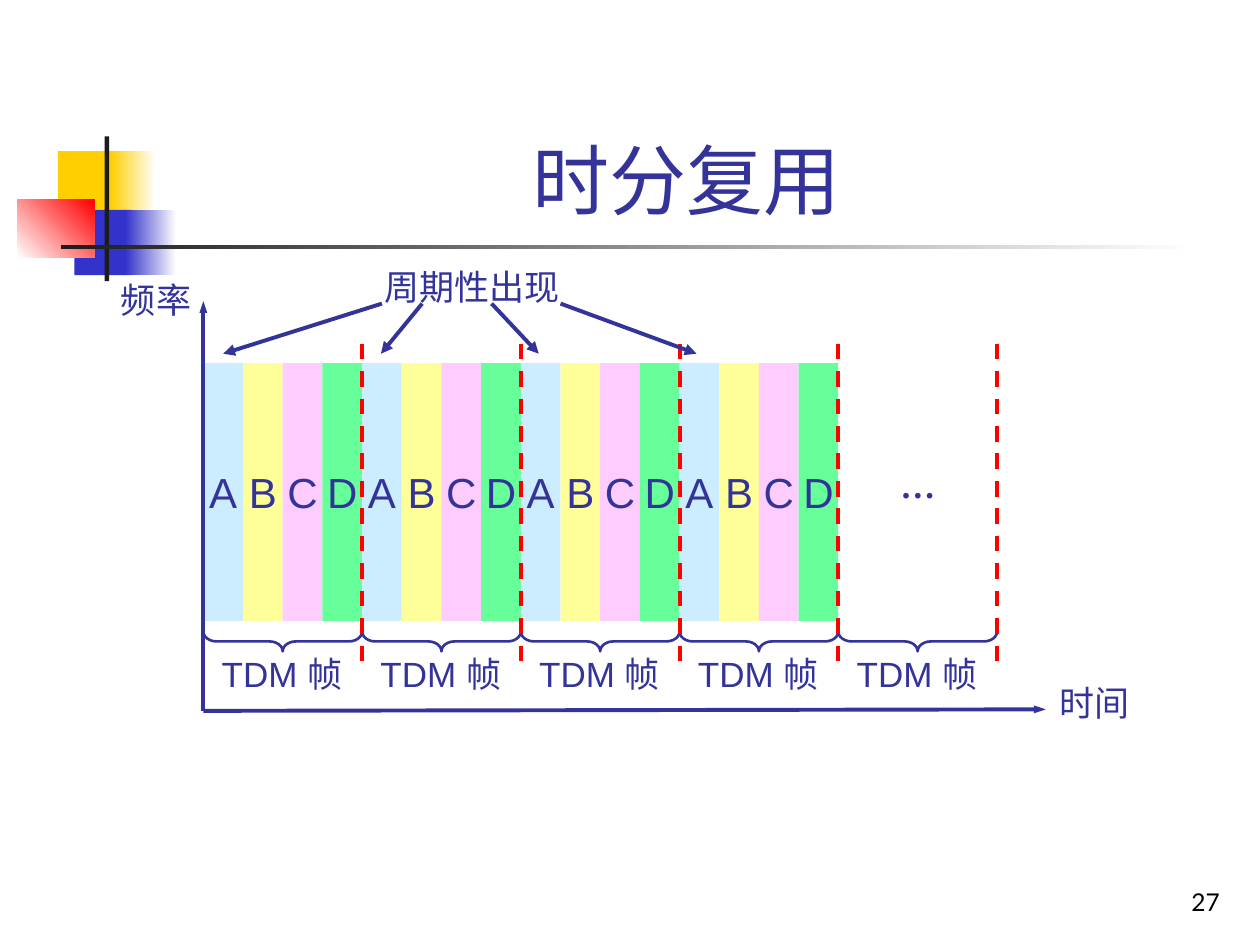
import pptx
import pptx.util
import pptx.dml.color
import pptx.enum.dml
import pptx.enum.shapes
import pptx.enum.text
import pptx.oxml
import pptx.oxml.ns
from lxml import etree

Cm, Pt = pptx.util.Cm, pptx.util.Pt
RGBColor = pptx.dml.color.RGBColor
SHAPE = pptx.enum.shapes.MSO_SHAPE
ALIGN = pptx.enum.text.PP_ALIGN
ANCHOR = pptx.enum.text.MSO_ANCHOR
FIT = pptx.enum.text.MSO_AUTO_SIZE

NAVY = RGBColor(0x33, 0x33, 0x99)
RED = RGBColor(0xFF, 0x00, 0x00)
BLACK = RGBColor(0x00, 0x00, 0x00)
WHITE = RGBColor(0xFF, 0xFF, 0xFF)
GOLD = RGBColor(0xFF, 0xCF, 0x01)
BLUE = RGBColor(0x33, 0x33, 0xCC)
CHARCOAL = RGBColor(0x1C, 0x1C, 0x1C)
SLOTS = [
    ("A", RGBColor(0xCC, 0xEC, 0xFF)),
    ("B", RGBColor(0xFF, 0xFF, 0x99)),
    ("C", RGBColor(0xFF, 0xCC, 0xFF)),
    ("D", RGBColor(0x66, 0xFF, 0x99)),
]

FRAME_WIDTH = 3.2
SLOT_WIDTH = FRAME_WIDTH / len(SLOTS)
FILLED_FRAMES = 4
FRAMES = 5


def write(frame, wording, size, font, color=NAVY, align=ALIGN.LEFT, bold=False):
    paragraph = frame.paragraphs[0]
    paragraph.alignment = align
    run = paragraph.add_run()
    run.text = wording
    run.font.size = Pt(size)
    run.font.name = font
    run.font.bold = bold
    run.font.color.rgb = color
    return paragraph


def add_label(slide, box, wording, font="Times New Roman", spacing=0.9, bold=False):
    """One-line label that fits its text."""
    frame = slide.shapes.add_textbox(*map(Cm, box)).text_frame
    frame.word_wrap = False
    frame.auto_size = FIT.SHAPE_TO_FIT_TEXT
    write(frame, wording, 20, font, bold=bold).line_spacing = spacing


def add_block(slide, box, color, fade_to=None, angle=0):
    """Rectangle without outline, plain or fading from one colour to another."""
    block = slide.shapes.add_shape(SHAPE.RECTANGLE, *map(Cm, box))
    block.shadow.inherit = False
    block.line.fill.background()
    if fade_to is None:
        block.fill.solid()
        block.fill.fore_color.rgb = color
    else:
        block.fill.gradient()
        block.fill.gradient_angle = angle
        for stop, shade in zip(block.fill.gradient_stops, (color, fade_to)):
            stop.color.rgb = shade
    return block


def add_line(slide, start, end, color=NAVY, head_width="med"):
    """Arrow, or a dashed line when it has no head width."""
    line = slide.shapes.add_connector(
        pptx.enum.shapes.MSO_CONNECTOR.STRAIGHT, *map(Cm, (*start, *end)))
    line.line.color.rgb = color
    line.line.width = Pt(2.25)
    if head_width:
        head = etree.SubElement(line.line._get_or_add_ln(), pptx.oxml.ns.qn("a:tailEnd"))
        head.set("type", "triangle")
        head.set("w", head_width)
    else:
        line.line.dash_style = pptx.enum.dml.MSO_LINE.DASH
    etree.SubElement(line._element.spPr, pptx.oxml.ns.qn("a:effectLst"))


def add_ornament(slide, box):
    """Coloured squares and the rule under the title."""
    left, top, width, height = box
    parts = [
        ((0.82, 0.3, 1.22, 1.32), GOLD, None, 0),
        ((1.88, 0.3, 0.91, 1.32), GOLD, WHITE, 0),
        ((1.15, 1.48, 1.17, 1.32), BLUE, None, 0),
        ((2.18, 1.48, 1.02, 1.32), BLUE, WHITE, 0),
        ((0, 1.27, 1.55, 1.17), WHITE, RED, 45),
        ((1.76, 0, 0.09, height), CHARCOAL, None, 0),
        ((0.88, 2.19, width - 0.88, 0.09), CHARCOAL, WHITE, 0),
    ]
    for (x, y, w, h), color, fade_to, angle in parts:
        add_block(slide, (left + x, top + y, w, h), color, fade_to, angle)


def add_title(slide, box):
    frame = slide.shapes.add_textbox(*map(Cm, box)).text_frame
    frame.word_wrap = True
    frame.vertical_anchor = ANCHOR.BOTTOM
    write(frame, "时分复用 ", 44, "Arial", align=ALIGN.CENTER)


def add_slot(slide, box, letter, color):
    frame = add_block(slide, box, color).text_frame
    frame.word_wrap = False
    frame.vertical_anchor = ANCHOR.MIDDLE
    write(frame, letter, 24, "Arial", align=ALIGN.CENTER)


def add_brace(slide, box):
    """Brace across the box with its tip downwards."""
    left, top, width, height = box
    shift = (width - height) / 2
    brace = slide.shapes.add_shape(
        SHAPE.LEFT_BRACE, Cm(left + shift), Cm(top - shift), Cm(height), Cm(width))
    brace.rotation = 270
    brace.adjustments[0] = 0.66
    brace.shadow.inherit = False
    brace.fill.background()
    brace.line.color.rgb = NAVY
    brace.line.width = Pt(1.5)


def add_timing_diagram(slide, box):
    left, top, width, height = box
    frame_lefts = [left + i * FRAME_WIDTH for i in range(FRAMES)]

    # Time slots of each full frame
    for frame_left in frame_lefts[:FILLED_FRAMES]:
        for i, (letter, color) in enumerate(SLOTS):
            slot = (frame_left + i * SLOT_WIDTH, top + 1.25, SLOT_WIDTH, 5.2)
            add_slot(slide, slot, letter, color)
    add_label(slide, (left + 13.8, top + 3.14, 1.22, 1.09), "…", spacing=1, bold=True)

    # Axes
    add_line(slide, (left, top + height), (left + width, top + height - 0.03),
             head_width="sm")
    add_line(slide, (left, top + height), (left, top), head_width="sm")
    add_label(slide, (left - 1.91, top - 0.48, 2, 1.02), "频率")
    add_label(slide, (left + width + 0.02, top + 7.63, 2, 1.02), "时间")

    # Frame braces, labels and boundaries
    for frame_left in frame_lefts:
        add_brace(slide, (frame_left, top + 6.66, FRAME_WIDTH, 0.4))
        add_label(slide, (frame_left + 0.12, top + 7.06, 3.2, 1.02), "TDM 帧", "Arial")
    for frame_left in frame_lefts:
        edge = frame_left + FRAME_WIDTH
        add_line(slide, (edge, top + 0.86), (edge, top + 7.44), RED, head_width=None)

    # Arrows to the recurring slot A
    add_label(slide, (left + 3.4, top - 0.74, 4.1, 1.02), "周期性出现")
    for i, start in enumerate((3.6, 4.41, 5.81, 7.2)):
        add_line(slide, (left + start, top + 0.05),
                 (left + SLOT_WIDTH / 2 + i * 3.18, top + 1.06))


def add_page_number(slide, box):
    frame = slide.shapes.add_textbox(*map(Cm, box)).text_frame
    frame.word_wrap = True
    frame.vertical_anchor = ANCHOR.BOTTOM
    write(frame, "27", 14, "Lato", BLACK, ALIGN.RIGHT)


def main():
    deck = pptx.Presentation()
    deck.slide_width, deck.slide_height = Cm(25.4), Cm(19.05)
    slide = deck.slides.add_slide(deck.slide_layouts[6])
    add_ornament(slide, (0.35, 2.75, 23.75, 2.92))
    add_title(slide, (3.2, 0.6, 21.64, 4.06))
    add_timing_diagram(slide, (4.1, 6.07, 16.98, 8.26))
    add_page_number(slide, (19.56, 17.33, 5.28, 1.27))
    deck.save("out.pptx")


if __name__ == "__main__":
    main()
